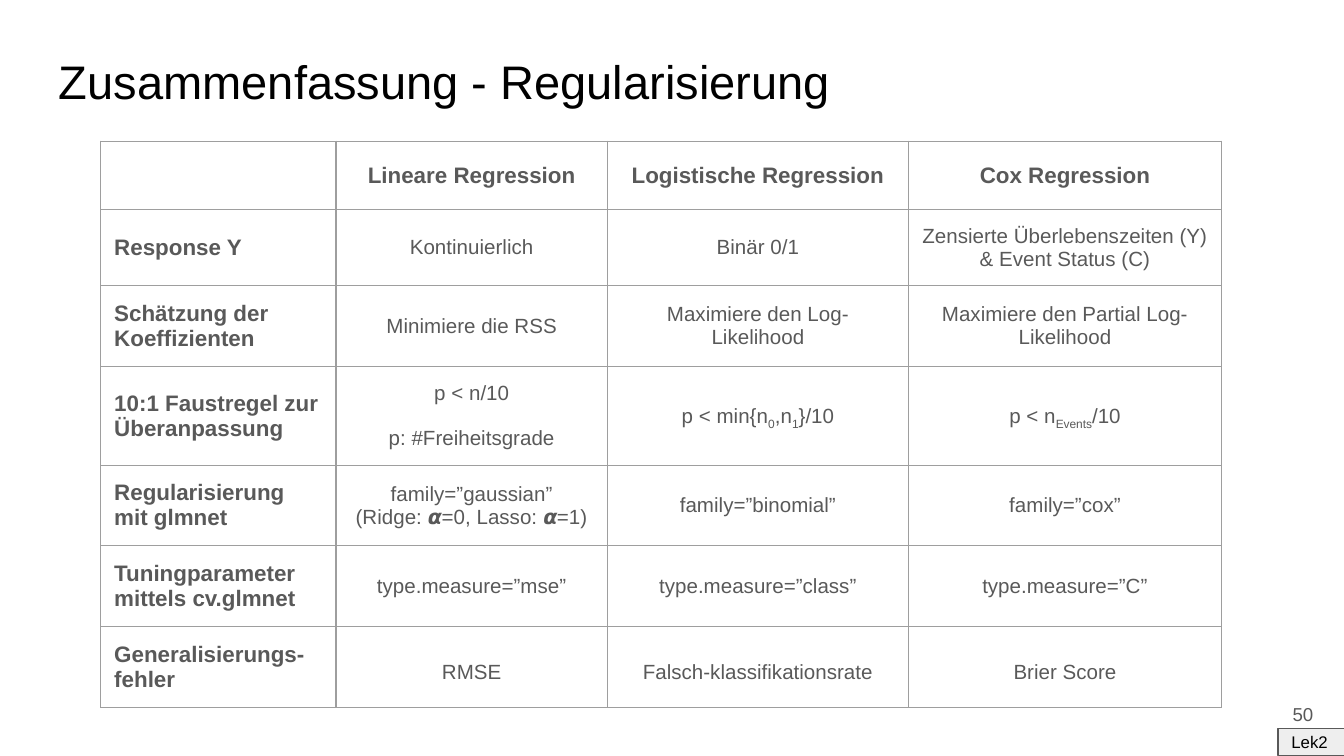
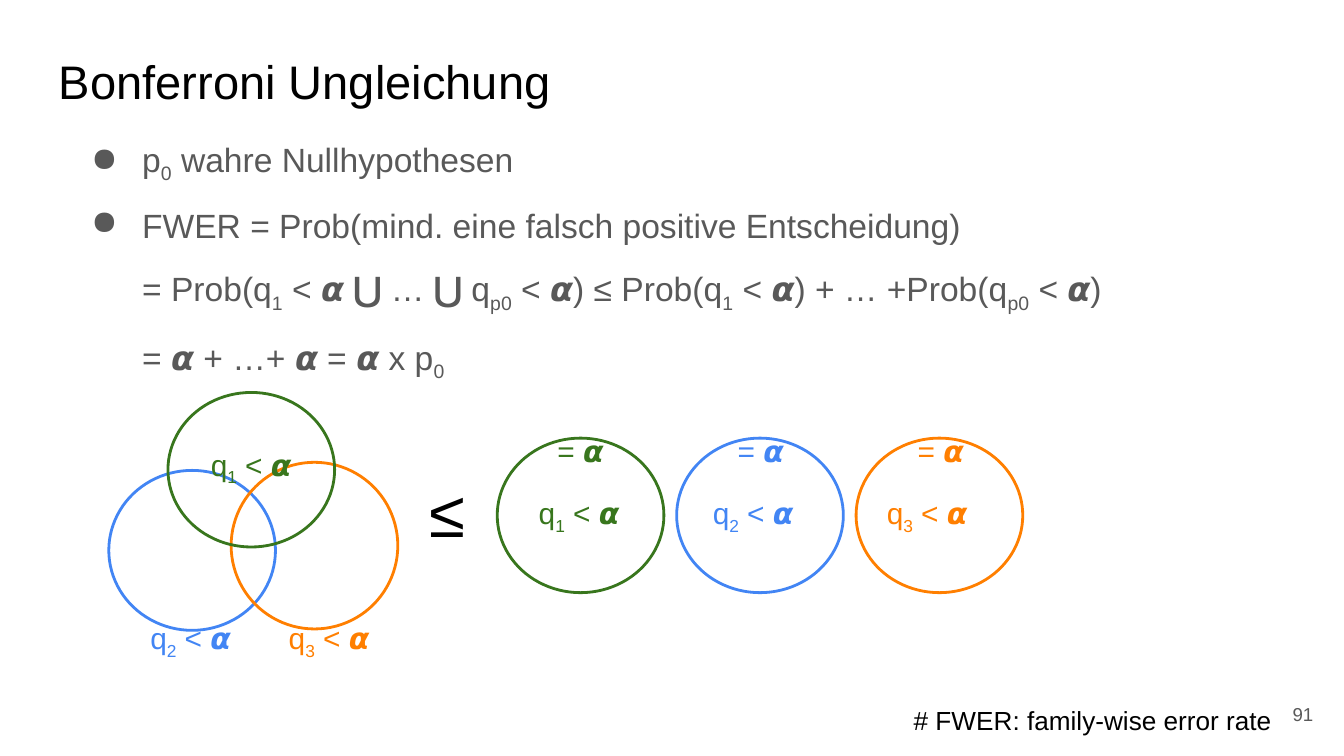
from dataclasses import dataclass

from pptx import Presentation
from pptx.dml.color import RGBColor
from pptx.enum.shapes import MSO_SHAPE
from pptx.enum.text import MSO_ANCHOR, MSO_AUTO_SIZE, PP_ALIGN
from pptx.oxml import parse_xml
from pptx.oxml.ns import nsdecls
from pptx.util import Emu, Inches, Pt


@dataclass(frozen=True)
class Theme:
    """Colours, font and type sizes of the deck."""
    font: str = "Arial"
    black: str = "000000"
    grey: str = "595959"
    pale: str = "EEEEEE"
    rule: str = "9E9E9E"
    green: str = "38761D"
    blue: str = "4285F4"
    orange: str = "FF7F00"
    title: float = 25.2
    body: float = 18
    label: float = 16
    note: float = 14
    head: float = 12
    cell: float = 11
    page: float = 10
    tag: float = 9
    sign: float = 35
    thin: float = 0.75
    ring: float = 1.5


@dataclass(frozen=True)
class Box:
    """Area on the grid, in columns and rows."""
    x: float
    y: float
    w: float
    h: float

    def inner(self, x, y, w, h):
        """Return an area placed relative to this one."""
        return Box(self.x + x, self.y + y, w, h)

    def spots(self):
        """Return left, top, width and height as lengths."""
        return [Emu(round(n * UNIT)) for n in (self.x, self.y, self.w, self.h)]


T = Theme()
COLS, ROWS = 100, 56.25
UNIT = Inches(10) / COLS
PAGE = Box(0, 0, COLS, ROWS)
INSET = Inches(0.1)

GRID = [
    ["", "Lineare Regression", "Logistische Regression", "Cox Regression"],
    ["Response Y", "Kontinuierlich", "Binär 0/1",
     "Zensierte Überlebenszeiten (Y) & Event Status (C)"],
    ["Schätzung der Koeffizienten", "Minimiere die RSS",
     "Maximiere den Log-Likelihood", "Maximiere den Partial Log-Likelihood"],
    ["10:1 Faustregel zur Überanpassung", "p < n/10\np: #Freiheitsgrade",
     "p < min{n_0_,n_1_}/10", "p < n_Events_/10"],
    ["Regularisierung mit glmnet",
     "family=”gaussian”\n(Ridge: 𝞪=0, Lasso: 𝞪=1)",
     "family=”binomial”", "family=”cox”"],
    ["Tuningparameter mittels cv.glmnet", "type.measure=”mse”",
     "type.measure=”class”", "type.measure=”C”"],
    ["Generalisierungs- fehler", "RMSE", "Falsch-klassifikationsrate",
     "Brier Score"],
]
WIDTHS = [17.5, 20.2, 22.4, 23.3]
HEIGHTS = [5.1] + [4.2] * 6
LEADS = {3: (1.15, 12), 6: (1.5, 12)}

POINTS = [
    (True, "p_0_ wahre Nullhypothesen"),
    (True, "FWER = Prob(mind. eine falsch positive Entscheidung)"),
    (False, "= Prob(q_1_ < 𝞪 ⋃ … ⋃ q_p0_ < 𝞪) ≤ "
            "Prob(q_1_ < 𝞪) + … +Prob(q_p0_ < 𝞪)"),
    (False, "= 𝞪 + …+ 𝞪 = 𝞪 x p_0_"),
]


def tint(tone):
    """Turn a hex tone into a colour."""
    return RGBColor.from_string(tone)


def write(para, text, size, tone, bold=False):
    """Fill a paragraph, lowering the bits held between underscores."""
    for i, bit in enumerate(text.split("_")):
        if not bit:
            continue
        run = para.add_run()
        run.text = bit
        font = run.font
        font.name, font.size, font.bold = T.font, Pt(size), bold
        font.color.rgb = tint(tone)
        if i % 2:
            run._r.get_or_add_rPr().set("baseline", "-25000")


def pad(frame):
    """Give a frame or cell equal margins."""
    frame.margin_left = frame.margin_right = INSET
    frame.margin_top = frame.margin_bottom = INSET


def place(shapes, box, text, size, tone, mid=False, grow=False):
    """Add a text box and return its frame."""
    frame = shapes.add_textbox(*box.spots()).text_frame
    frame.word_wrap = True
    pad(frame)
    frame.vertical_anchor = MSO_ANCHOR.MIDDLE if mid else MSO_ANCHOR.TOP
    if grow:
        frame.auto_size = MSO_AUTO_SIZE.SHAPE_TO_FIT_TEXT
    write(frame.paragraphs[0], text, size, tone)
    return frame


def outline(shapes, kind, box, tone, width):
    """Add an unfilled preset shape with a plain edge."""
    shape = shapes.add_shape(kind, *box.spots())
    shape.shadow.inherit = False
    shape.fill.background()
    shape.line.color.rgb = tint(tone)
    shape.line.width = Pt(width)
    return shape


def start(deck, title, page):
    """Add a blank slide with its title and page number."""
    slide = deck.slides.add_slide(deck.slide_layouts[6])
    place(slide.shapes, PAGE.inner(3.4, 2.9, 93.2, 6.3), title, T.title, T.black)
    frame = place(slide.shapes, PAGE.inner(92.7, 51, 6, 4.3), page, T.page,
                  T.grey, mid=True)
    frame.paragraphs[0].alignment = PP_ALIGN.RIGHT
    return slide.shapes


def edge(cell):
    """Draw the four borders of a cell and clear its fill."""
    props = cell._tc.get_or_add_tcPr()
    for side in "LRTB":
        props.append(parse_xml(
            f'<a:ln{side} {nsdecls("a")} w="{Pt(T.thin)}"><a:solidFill>'
            f'<a:srgbClr val="{T.rule}"/></a:solidFill></a:ln{side}>'))
    cell.fill.background()


def fill(cell, text, row, col):
    """Write one cell of the table."""
    pad(cell)
    cell.vertical_anchor = MSO_ANCHOR.MIDDLE
    edge(cell)
    bold = row == 0 or col == 0
    lead, gap = LEADS.get(row, (1, 0))
    lines = text.split("\n")
    for i, line in enumerate(lines):
        frame = cell.text_frame
        para = frame.add_paragraph() if i else frame.paragraphs[0]
        para.alignment = PP_ALIGN.CENTER if col else PP_ALIGN.LEFT
        if i:
            para.space_before = para.space_after = Pt(gap)
        elif col and len(lines) == 1:
            para.line_spacing, para.space_after = lead, Pt(gap)
        write(para, line, T.head if bold else T.cell, T.grey, bold)


def matrix(shapes, box):
    """Add the table that compares the models."""
    table = shapes.add_table(len(GRID), len(WIDTHS), *box.spots()).table
    table.first_row = table.horz_banding = False
    for col, width in zip(table.columns, WIDTHS):
        col.width = Emu(round(width * UNIT))
    for r, (row, height) in enumerate(zip(table.rows, HEIGHTS)):
        row.height = Emu(round(height * UNIT))
        for c, text in enumerate(GRID[r]):
            fill(table.cell(r, c), text, r, c)


def badge(shapes, box):
    """Add the lecture tag in the corner."""
    shape = outline(shapes, MSO_SHAPE.RECTANGLE, box, T.grey, T.thin)
    shape.fill.solid()
    shape.fill.fore_color.rgb = tint(T.pale)
    frame = shape.text_frame
    pad(frame)
    frame.vertical_anchor = MSO_ANCHOR.MIDDLE
    para = frame.paragraphs[0]
    para.alignment = PP_ALIGN.LEFT
    write(para, "Lek2", T.tag, T.black)


def proof(shapes, box):
    """Add the bulleted lines of the proof."""
    frame = place(shapes, box, "", T.body, T.grey, mid=True, grow=True)
    for i, (dot, text) in enumerate(POINTS):
        para = frame.add_paragraph() if i else frame.paragraphs[0]
        props = para._p.get_or_add_pPr()
        props.set("marL", str(Inches(0.5)))
        props.set("indent", str(Inches(-0.38) if dot else 0))
        if dot:
            props.append(parse_xml(
                f'<a:buClr {nsdecls("a")}><a:srgbClr val="{T.grey}"/></a:buClr>'))
            props.append(parse_xml(f'<a:buChar {nsdecls("a")} char="●"/>'))
        para.line_spacing = 1.5
        write(para, text, T.body, T.grey)


def label(shapes, box, text, tone):
    """Add a label set in double spacing."""
    para = place(shapes, box, text, T.label, tone, grow=True).paragraphs[0]
    para.line_spacing, para.space_after = 2, Pt(12)


def venn(shapes, box):
    """Add three crossing rings and their labels."""
    rings = [
        (T.blue, (0, 5.8, 12.4, 11.9), "2", (2.1, 12.9)),
        (T.orange, (9.1, 5.2, 12.4, 12.4), "3", (12.4, 12.9)),
        (T.green, (4.4, 0, 12.4, 11.5), "1", (6.6, 0)),
    ]
    for tone, ring, _, _ in rings:
        outline(shapes, MSO_SHAPE.OVAL, box.inner(*ring), tone, T.ring)
    for tone, _, num, spot in rings:
        label(shapes, box.inner(*spot, 8.2, 4.7), f"q_{num}_ < 𝞪", tone)


def total(shapes, box):
    """Add three rings side by side, each with its share."""
    for i, tone in enumerate((T.green, T.blue, T.orange)):
        outline(shapes, MSO_SHAPE.OVAL, box.inner(13.35 * i, 4.1, 12.4, 11.5),
                tone, T.ring)
        label(shapes, box.inner(2.1 + 12.95 * i, 4.3, 8.2, 4.7),
              f"q_{i + 1}_ < 𝞪", tone)
        label(shapes, box.inner(3.5 + 13.4 * i, 0, 6, 4.7), "= 𝞪", tone)


def recap(deck):
    """Build the slide that sums up the models."""
    shapes = start(deck, "Zusammenfassung - Regularisierung", "50")
    matrix(shapes, PAGE.inner(7.5, 10.5, sum(WIDTHS), sum(HEIGHTS)))
    badge(shapes, PAGE.inner(95.1, 54.2, 5.2, 2))


def bound(deck):
    """Build the slide on the union bound."""
    shapes = start(deck, "Bonferroni Ungleichung", "91")
    proof(shapes, PAGE.inner(4.6, 9.2, 87.6, 18.7))
    place(shapes, PAGE.inner(67, 51.4, 29, 4.4), "# FWER: family-wise error rate",
          T.note, T.black, grow=True)
    group = shapes.add_group_shape().shapes
    venn(group, PAGE.inner(8.1, 29.2, 21.5, 17.7))
    place(group, PAGE.inner(31, 34.1, 4.6, 7.9), "≤", T.sign, T.black, grow=True)
    total(group, PAGE.inner(37, 28.5, 39.1, 15.6))


def main():
    """Build and save the deck."""
    deck = Presentation()
    deck.slide_width = Emu(round(COLS * UNIT))
    deck.slide_height = Emu(round(ROWS * UNIT))
    recap(deck)
    bound(deck)
    deck.save("out.pptx")


if __name__ == "__main__":
    main()
